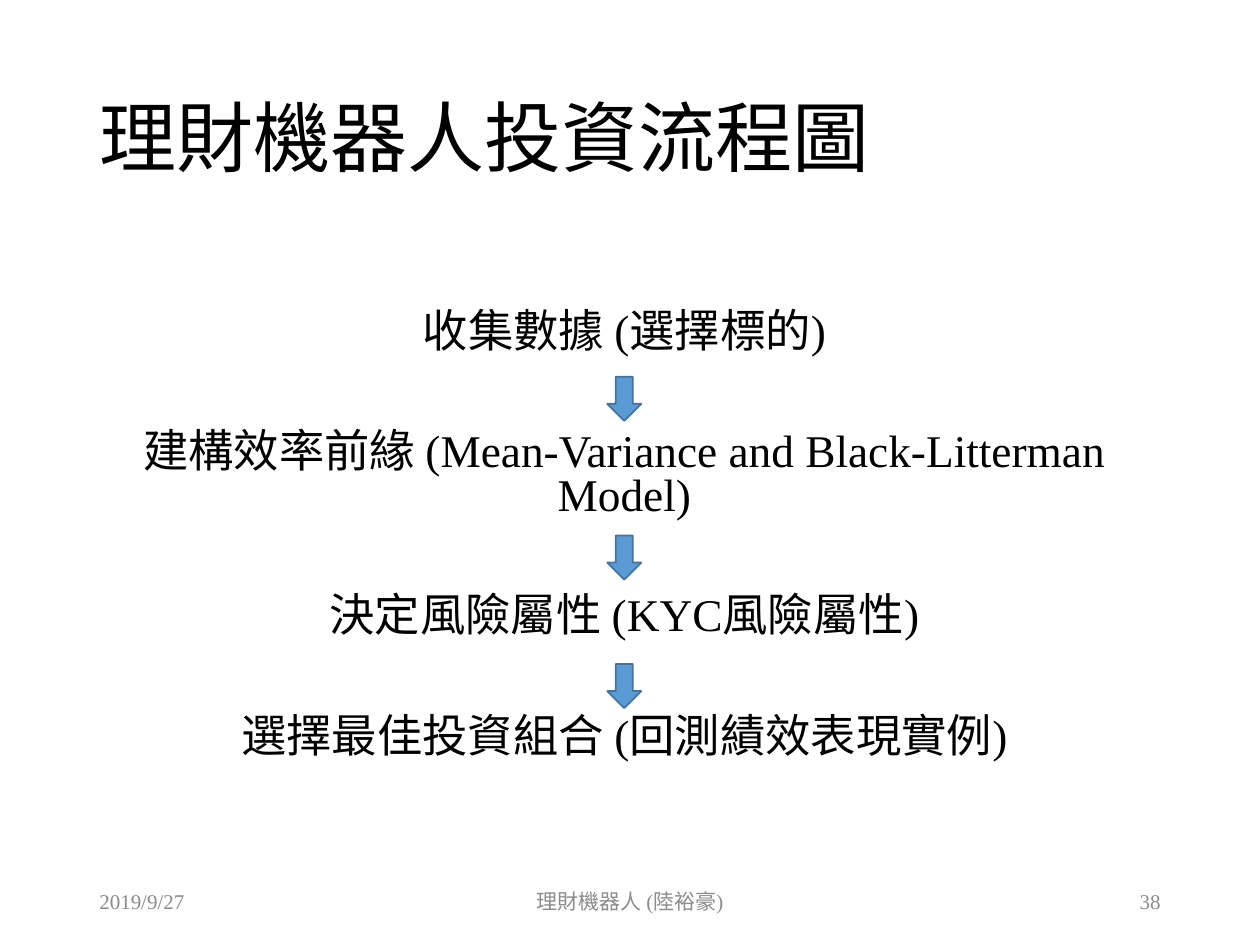
from typing import NamedTuple

from pptx import Presentation
from pptx.dml.color import RGBColor
from pptx.enum.shapes import MSO_SHAPE
from pptx.enum.text import MSO_ANCHOR, MSO_AUTO_SIZE, PP_ALIGN
from pptx.util import Inches, Pt

FONT = "Times New Roman"
COLORS = {"text": "000000", "footer": "8C8C8C", "arrow": "5B9BD5", "outline": "43739E"}


class Box(NamedTuple):
    left: float
    top: float
    width: float
    height: float

    def lengths(self) -> list:
        return [Inches(value) for value in self]


class FooterItem(NamedTuple):
    text: str
    box: Box
    align: PP_ALIGN


TITLE_BOX = Box(0.69, 0.4, 8.62, 1.45)
STEPS_BOX = Box(0.6, 2.43, 8.71, 3.78)
STEPS = [
    "收集數據 (選擇標的)",
    "建構效率前緣 (Mean-Variance and Black-Litterman Model)",
    "決定風險屬性 (KYC風險屬性)",
    "選擇最佳投資組合 (回測績效表現實例)",
]
ARROW_TOPS = [2.99, 4.25, 5.27]
FOOTER = [
    FooterItem("2019/9/27", Box(0.69, 6.95, 2.25, 0.4), PP_ALIGN.LEFT),
    FooterItem("理財機器人 (陸裕豪)", Box(3.31, 6.95, 3.38, 0.4), PP_ALIGN.CENTER),
    FooterItem("38", Box(7.06, 6.95, 2.25, 0.4), PP_ALIGN.RIGHT),
]


def write_text(shape, lines: list[str], *, size: float, color: str = "text",
               align: PP_ALIGN = PP_ALIGN.LEFT, anchor: MSO_ANCHOR = MSO_ANCHOR.MIDDLE,
               line_spacing: float = 1.0, gap: float = 0) -> None:
    """Write one paragraph per line, with a gap in points between paragraphs."""
    frame = shape.text_frame
    frame.word_wrap = True
    frame.auto_size = MSO_AUTO_SIZE.NONE
    frame.vertical_anchor = anchor
    for index, line in enumerate(lines):
        paragraph = frame.add_paragraph() if index else frame.paragraphs[0]
        paragraph.alignment = align
        paragraph.line_spacing = line_spacing
        paragraph.space_before = Pt(gap if index else 0)
        run = paragraph.add_run()
        run.text = line
        run.font.name = FONT
        run.font.size = Pt(size)
        run.font.color.rgb = RGBColor.from_string(COLORS[color])


def add_arrow(slide, box: Box) -> None:
    arrow = slide.shapes.add_shape(MSO_SHAPE.DOWN_ARROW, *box.lengths())
    arrow.shadow.inherit = False
    arrow.fill.solid()
    arrow.fill.fore_color.rgb = RGBColor.from_string(COLORS["arrow"])
    arrow.line.color.rgb = RGBColor.from_string(COLORS["outline"])
    arrow.line.width = Pt(1)


def main() -> None:
    presentation = Presentation()
    presentation.slide_width, presentation.slide_height = Inches(10), Inches(7.5)
    slide = presentation.slides.add_slide(presentation.slide_layouts[5])

    # Title
    title = slide.shapes.title
    title.left, title.top, title.width, title.height = TITLE_BOX.lengths()
    write_text(title, ["理財機器人投資流程圖"], size=44, line_spacing=0.9)

    # Process steps, with room for an arrow between them
    steps = slide.shapes.add_textbox(*STEPS_BOX.lengths())
    write_text(steps, STEPS, size=25.9, align=PP_ALIGN.CENTER,
               anchor=MSO_ANCHOR.TOP, line_spacing=0.8, gap=44)

    # Footer
    for item in FOOTER:
        text_box = slide.shapes.add_textbox(*item.box.lengths())
        write_text(text_box, [item.text], size=12, color="footer", align=item.align)

    # Arrows between steps
    for top in ARROW_TOPS:
        add_arrow(slide, Box(4.82, top, 0.27, 0.35))

    presentation.save("out.pptx")


if __name__ == "__main__":
    main()
